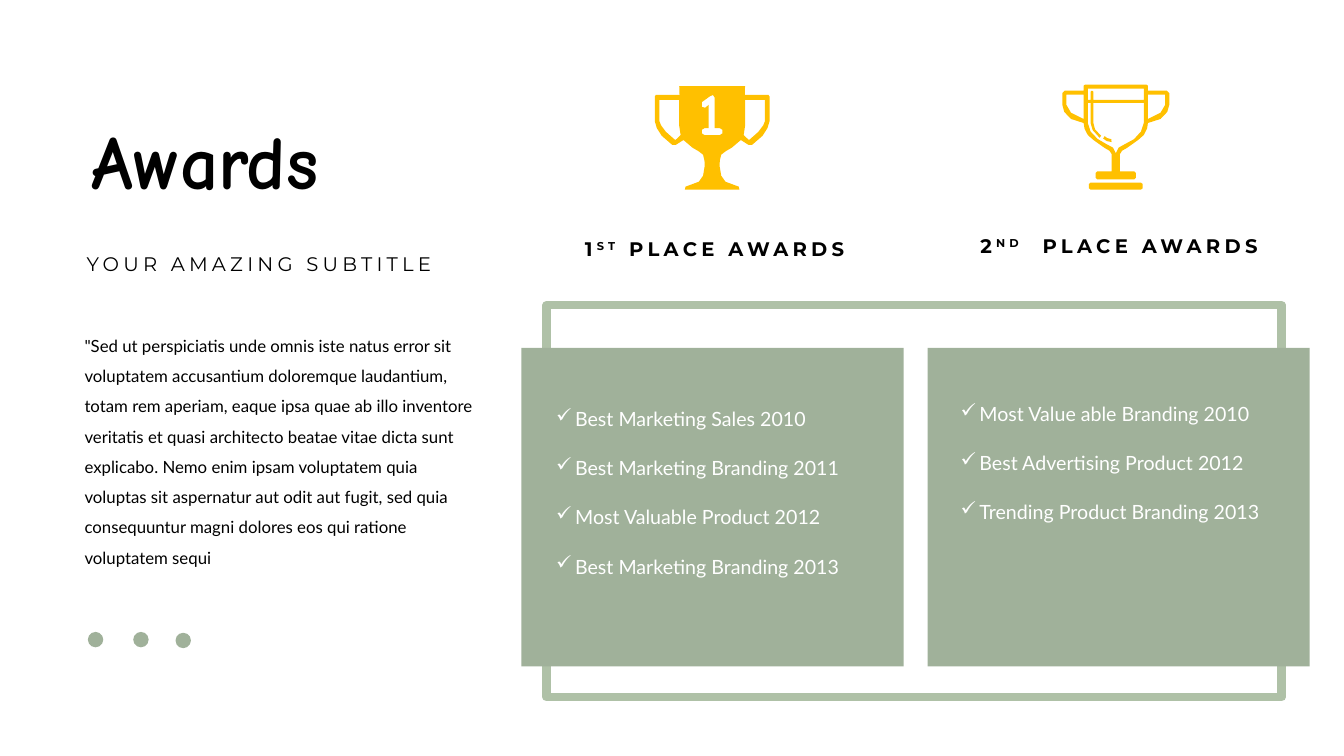
from lxml.etree import SubElement
from pptx import Presentation
from pptx.dml.color import RGBColor
from pptx.enum.shapes import MSO_SHAPE
from pptx.enum.text import MSO_ANCHOR, PP_ALIGN
from pptx.oxml.ns import qn
from pptx.util import Pt

INK = {
    "sage": "A0B19A",
    "frame": "AFC1A7",
    "gold": "FFC000",
    "black": "000000",
    "white": "FFFFFF",
}

BODY = (
    '"Sed ut perspiciatis unde omnis iste natus error sit voluptatem '
    "accusantium doloremque laudantium, totam rem aperiam, eaque ipsa quae "
    "ab illo inventore veritatis et quasi architecto beatae vitae dicta sunt "
    "explicabo. Nemo enim ipsam voluptatem quia voluptas sit aspernatur aut "
    "odit aut fugit, sed quia consequuntur magni dolores eos qui ratione "
    "voluptatem sequi"
)
FIRST = [
    "Best Marketing Sales 2010",
    "Best Marketing Branding 2011",
    "Most Valuable Product 2012",
    "Best Marketing Branding 2013",
]
SECOND = [
    "Most Value able Branding 2010",
    "Best Advertising Product 2012",
    "Trending Product Branding 2013",
]

# Right halves of the cups: points from the centre line and the top edge
SOLID = [
    (23.5, 1), (23.3, 7.2), (40.2, 7.2), (41, 8.5), (41, 26), (39.5, 31),
    (36, 36.5), (28.5, 43), (26, 43), (20.5, 39.5), (14, 45), (9.7, 47.5),
    (6.5, 50), (5.5, 54), (5.3, 58), (6.5, 65), (9.5, 69.3), (19, 72.8),
    (19.5, 75),
]
GRIP = [
    (23.5, 10.8), (37.7, 10.8), (37.7, 26), (36.5, 29), (33, 33.7),
    (26.3, 39.6), (22.5, 36), (23.5, 29.5),
]
DIGIT = [
    (5.4, 36), (-5.4, 36), (-7.3, 34.8), (-7.3, 32.2), (-5.4, 31),
    (-2.5, 31), (-2.5, 14.4), (-5, 16.5), (-7.3, 15.8), (-7.3, 12.4),
    (-1.5, 8.2), (0.6, 7.4), (1.8, 9.2), (1.8, 31), (5.4, 31),
    (7.3, 32.2), (7.3, 34.8),
]
OPEN = [
    (22, 0), (23, 0.8), (23, 4.3), (36.5, 4.3), (38.2, 6), (38.2, 14.4),
    (36.8, 19.5), (32, 24.5), (23, 27.4), (22.3, 31.5), (20, 36),
    (16, 39.5), (10.8, 43.2), (8, 45.2), (4.5, 47.2), (2.9, 49.7),
    (2.9, 62), (13.2, 62), (14.4, 63.2), (14.4, 66.5), (13.2, 67.7),
]
LOOP = [(23, 7.2), (35.3, 7.2), (35.3, 14.4), (32, 20), (23, 24.5)]
BASE = [(18, 70), (19.2, 71), (19.2, 74), (18, 75)]
RIM = [
    (-18, 10.8), (-20, 10.8), (-20, 2.9), (20, 2.9), (20, 10.8),
    (-16, 10.8), (-16, 5), (-17, 4.3), (-18, 5),
]
BOWL = [
    (20, 13), (20, 27.4), (18, 33.5), (13, 39), (6.5, 42.5), (2, 45),
    (0, 49), (-2, 45), (-7, 42.3), (-13, 38.8), (-18, 33.5), (-20, 27.4),
    (-20, 13), (-18, 13), (-18, 27.4), (-16.5, 32.5), (-11.5, 38),
    (-10.5, 36.5), (-14.8, 32), (-16, 27.4), (-16, 13),
]
GLINT = [(-8, 36.8), (-6, 38.2), (-3.2, 39), (-3, 41), (-6.5, 40.3), (-9, 38.5)]


def color(name):
    return RGBColor.from_string(INK[name])


def write(slide, box, lines, font="Lato", size=14, ink="black", bold=False,
          space=0, lead=1.5, gap=0, align=PP_ALIGN.LEFT,
          anchor=MSO_ANCHOR.TOP, mark=None):
    """Each line is a string or a list of (text, baseline) runs."""
    frame = slide.shapes.add_textbox(*map(Pt, box)).text_frame
    frame.word_wrap = True
    frame.vertical_anchor = anchor
    for row, line in enumerate(lines):
        para = frame.paragraphs[0] if row == 0 else frame.add_paragraph()
        para.alignment = align
        para.line_spacing = lead
        if row:
            para.space_before = Pt(gap)
        if mark:
            props = para._p.get_or_add_pPr()
            props.set("marL", str(Pt(13.5)))
            props.set("indent", str(-Pt(13.5)))
            SubElement(props, qn("a:buChar")).set("char", mark)
        for text, lift in [(line, 0)] if isinstance(line, str) else line:
            run = para.add_run()
            run.text = text
            run.font.name = font
            run.font.size = Pt(size)
            run.font.bold = bold
            run.font.color.rgb = color(ink)
            props = run._r.get_or_add_rPr()
            if space:
                props.set("spc", str(space * 100))
            if lift:
                props.set("baseline", str(lift * 1000))


def paint(shape, ink):
    shape.shadow.inherit = False
    shape.fill.solid()
    shape.fill.fore_color.rgb = color(ink)
    shape.line.fill.background()


def block(slide, kind, box, ink):
    shape = slide.shapes.add_shape(kind, *map(Pt, box))
    paint(shape, ink)
    return shape


def flip(half):
    return [(-x, y) for x, y in reversed(half)]


def cup(slide, mid, top, paths):
    scaled = [[(Pt(x), Pt(y)) for x, y in path] for path in paths]
    pen = slide.shapes.build_freeform(*scaled[0][0], scale=1.0)
    for step, path in enumerate(scaled):
        if step:
            pen.move_to(*path[0])
        pen.add_line_segments(path[1:], close=True)
    paint(pen.convert_to_shape(Pt(mid), Pt(top)), "gold")


def award(slide, box, place, suffix, label):
    write(slide, box, [[(place, 0), (suffix, 30), (label, 0)]],
          font="Montserrat", bold=True, space=3, lead=1,
          align=PP_ALIGN.CENTER)


def main():
    deck = Presentation()
    deck.slide_width, deck.slide_height = Pt(960), Pt(540)
    slide = deck.slides.add_slide(deck.slide_layouts[6])

    # Frame and panels
    frame = block(slide, MSO_SHAPE.RECTANGLE, (390.5, 218, 525, 280), "white")
    frame.fill.background()
    frame.line.color.rgb = color("frame")
    frame.line.width = Pt(6)
    for left in (372.5, 662.5):
        block(slide, MSO_SHAPE.RECTANGLE, (left, 248.5, 273, 227.5), "sage")

    # Left column
    write(slide, (58.3, 78.5, 293, 79.2), ["Awards"], font="Comic Neue",
          size=54, bold=True, lead=0.9, anchor=MSO_ANCHOR.MIDDLE)
    write(slide, (54.7, 167.8, 301, 44.6), ["YOUR AMAZING SUBTITLE"],
          font="Montserrat", space=3)
    write(slide, (53.3, 229, 298, 173.5), [BODY], size=12)
    for left, top in ((62.8, 451.4), (95.2, 451.4), (125.4, 452)):
        block(slide, MSO_SHAPE.OVAL, (left, top, 11, 11), "sage")

    # Award headings and lists
    award(slide, (383, 165.6, 255, 24.5), "1", "ST", " PLACE AWARDS")
    award(slide, (671.8, 163.4, 255, 24.5), "2", "ND", "  PLACE AWARDS")
    for left, top, items in ((390.2, 278.6, FIRST), (679, 275, SECOND)):
        write(slide, (left, top, 236.5, 155.5), items, ink="white",
              gap=10, mark="✓")

    # Trophies
    cup(slide, 508.7, 60.5,
        [SOLID + flip(SOLID), GRIP, flip(GRIP), DIGIT])
    cup(slide, 797, 60.5,
        [OPEN + flip(OPEN), LOOP, flip(LOOP), RIM, BOWL, GLINT,
         BASE + flip(BASE)])

    deck.save("out.pptx")


if __name__ == "__main__":
    main()
